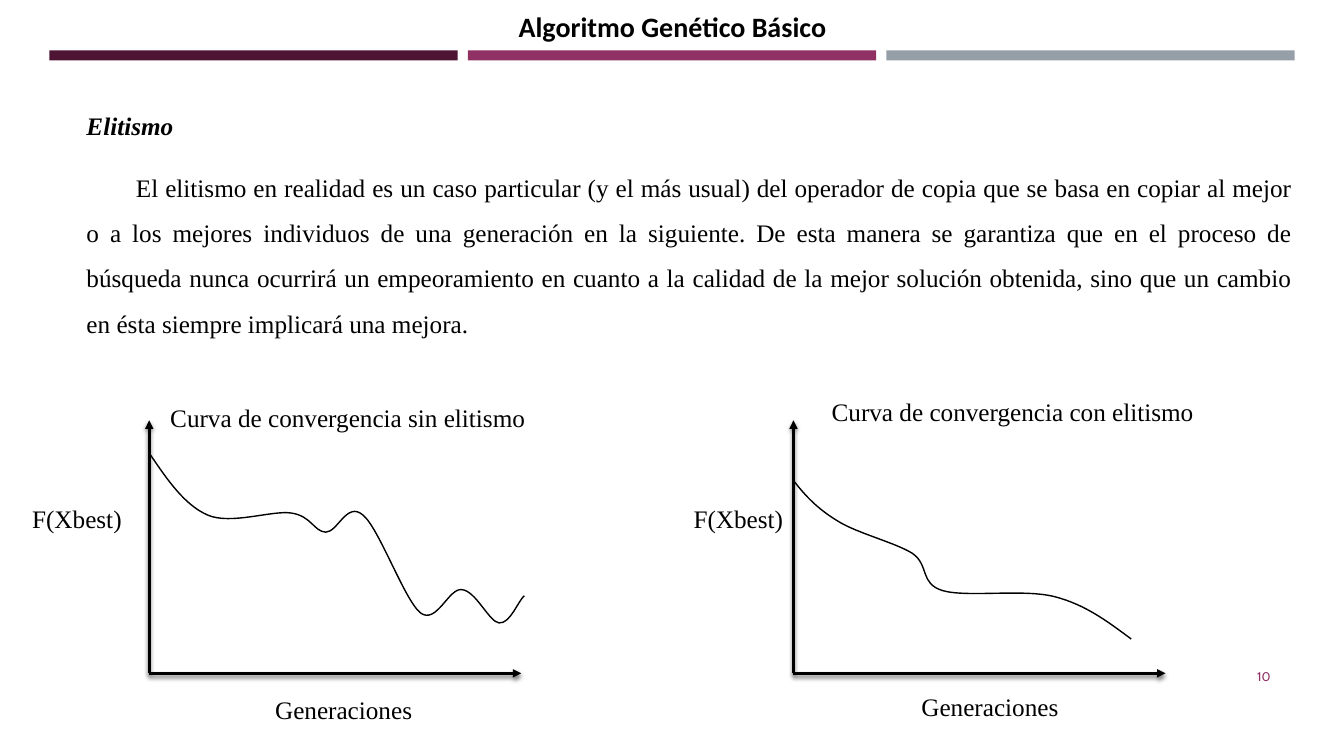
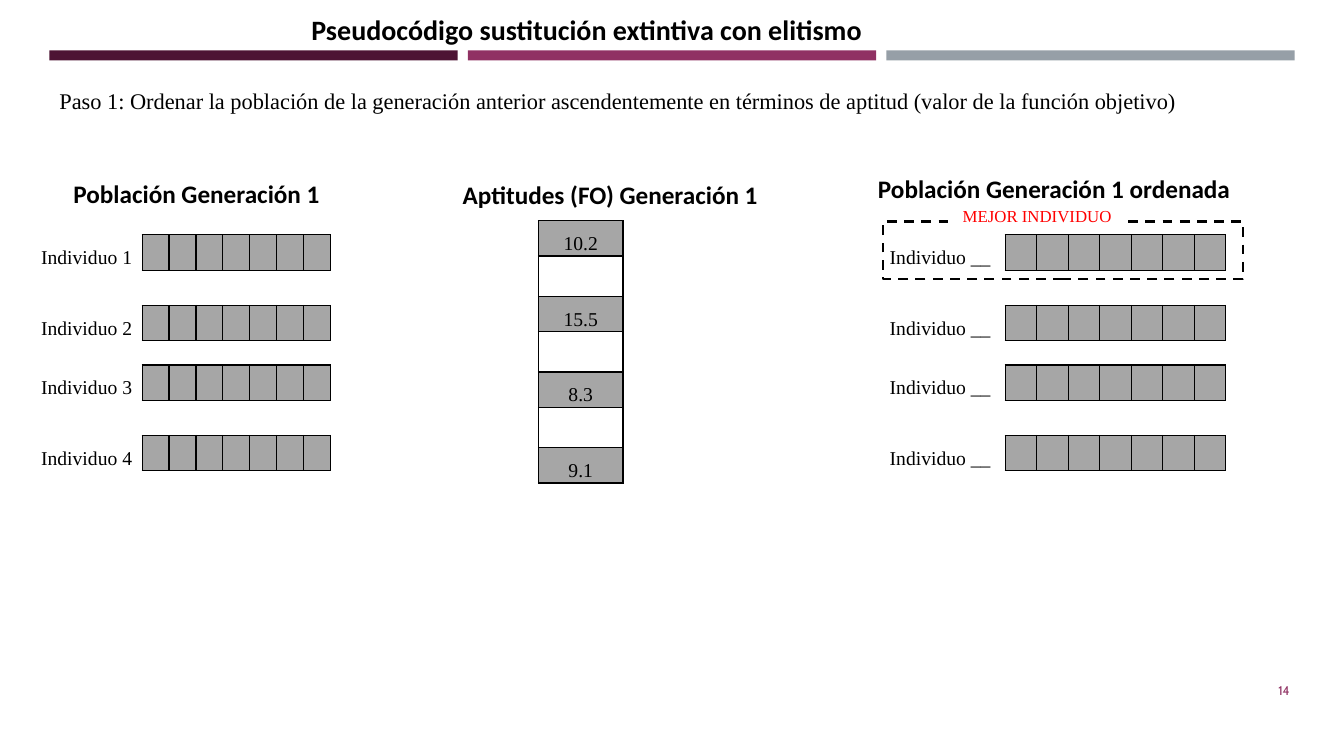
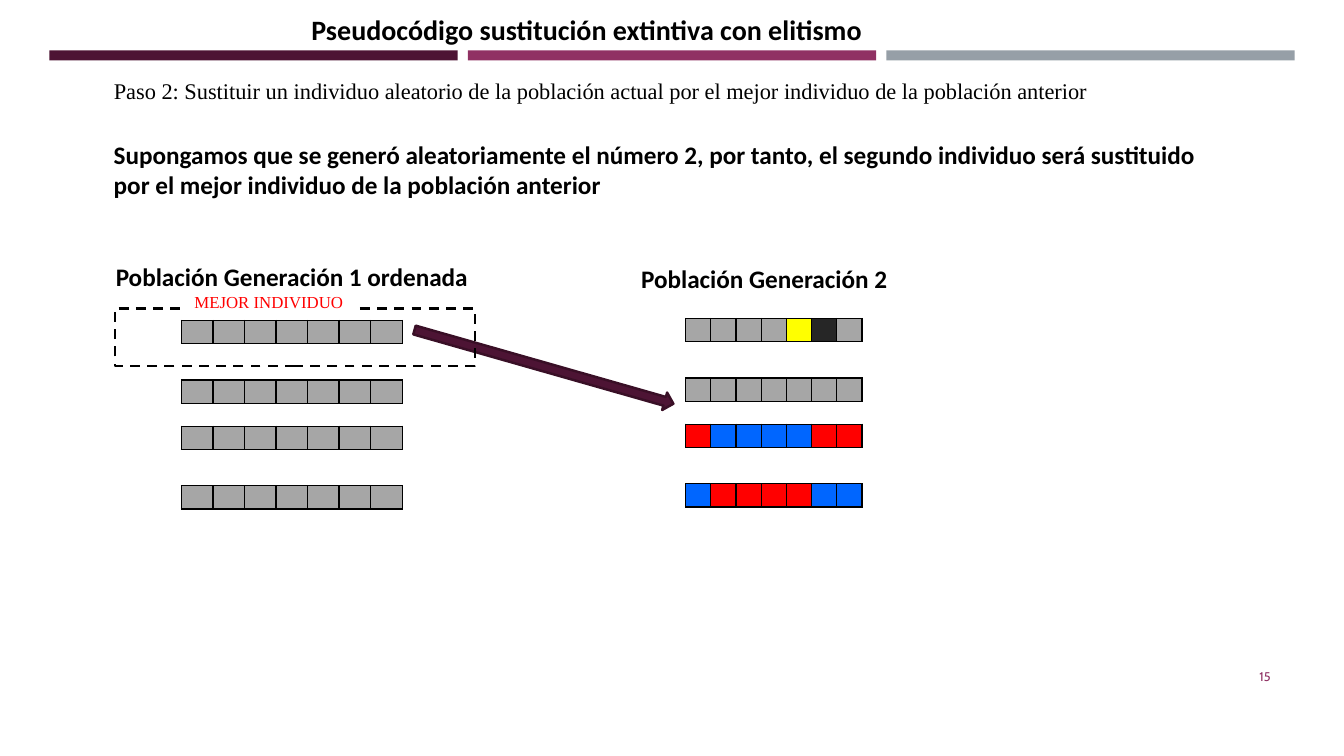
"""Build three slides on elitism in genetic algorithms."""
from dataclasses import dataclass, replace
from itertools import product

from lxml.etree import SubElement
from pptx import Presentation
from pptx.dml.color import RGBColor
from pptx.enum.dml import MSO_LINE
from pptx.enum.shapes import MSO_CONNECTOR, MSO_SHAPE
from pptx.enum.text import MSO_ANCHOR, PP_ALIGN
from pptx.oxml.ns import qn
from pptx.util import Emu, Pt

PX = 9144
BLACK, WHITE, RED, BLUE = "000000", "FFFFFF", "FF0000", "0066FF"
YELLOW, CHARCOAL, GRAY = "FFFF00", "262626", "A6A6A6"
PLUM, MAGENTA, SLATE, PLUM_EDGE = "4D1434", "903163", "969FA7", "390F26"
PLAIN_TABLE = "{2D5ABB26-0587-4C30-8999-92F81FD0307C}"
GENES = 7


@dataclass(frozen=True)
class Style:
    font: str
    size: int
    color: str = BLACK
    bold: bool = False
    italic: bool = False


TITLE = Style("Calibri", 20, bold=True)
HEADING = Style("Calibri", 18, bold=True)
BODY = Style("Times New Roman", 18)
STEP = Style("Times New Roman", 16)
CELL = Style("Times New Roman", 14)
BADGE = Style("Times New Roman", 12, RED)
NUMBER = Style("Cabin", 9, MAGENTA)


@dataclass(frozen=True)
class Para:
    text: str
    style: Style
    align: PP_ALIGN = PP_ALIGN.LEFT
    spacing: float = 1.0
    after: int = 0
    indent: int = 0


@dataclass(frozen=True)
class Label:
    x: int
    y: int
    w: int
    h: int
    paras: tuple[Para, ...]
    wrap: bool = True
    anchor: MSO_ANCHOR = MSO_ANCHOR.TOP
    fill: str = ""


@dataclass(frozen=True)
class Plot:
    x: int
    caption: Label
    fitness_x: int
    generations: tuple[int, int]
    curve: tuple[tuple[int, int], ...]


@dataclass(frozen=True)
class Population:
    x: int
    y: int
    genes_w: int
    row_h: int
    gaps: tuple[int, ...]
    colors: tuple[tuple[str, ...], ...]
    names: tuple[str, ...] = ()
    names_w: int = 0


def px(n: float) -> Emu:
    """Turn px into EMU."""
    return Emu(round(n * PX))


def rgb(color: str) -> RGBColor:
    """Turn a hex string into a colour."""
    return RGBColor.from_string(color)


def write(p, para: Para) -> None:
    """Fill a paragraph with one styled run."""
    p.alignment = para.align
    p.line_spacing = para.spacing
    p.space_after = Pt(para.after)
    if para.indent:
        p._p.get_or_add_pPr().set("indent", str(px(para.indent)))
    r = p.add_run()
    r.text = para.text
    f, style = r.font, para.style
    f.name, f.size, f.bold, f.italic = style.font, Pt(style.size), style.bold, style.italic
    f.color.rgb = rgb(style.color)


def add_label(s, label: Label) -> None:
    """Add a text box."""
    sp = s.shapes.add_textbox(px(label.x), px(label.y), px(label.w), px(label.h))
    if label.fill:
        sp.fill.solid()
        sp.fill.fore_color.rgb = rgb(label.fill)
    tf = sp.text_frame
    tf.word_wrap = label.wrap
    tf.vertical_anchor = label.anchor
    for i, para in enumerate(label.paras):
        write(tf.add_paragraph() if i else tf.paragraphs[0], para)


def add_text(s, x: int, y: int, w: int, h: int, text: str, style: Style, wrap: bool = True) -> None:
    """Add a text box that holds one left-aligned paragraph."""
    add_label(s, Label(x, y, w, h, (Para(text, style),), wrap))


def add_box(s, kind: MSO_SHAPE, x: int, y: int, w: int, h: int, fill: str = "", line: str = ""):
    """Add a preset shape without a shadow."""
    sp = s.shapes.add_shape(kind, px(x), px(y), px(w), px(h))
    sp.shadow.inherit = False
    if fill:
        sp.fill.solid()
        sp.fill.fore_color.rgb = rgb(fill)
    else:
        sp.fill.background()
    if line:
        sp.line.color.rgb = rgb(line)
        sp.line.width = Pt(1.75)
    else:
        sp.line.fill.background()
    return sp


def add_bands(s) -> None:
    """Put the three bands on the layout that all slides share."""
    for i, color in enumerate((PLUM, MAGENTA, SLATE)):
        sp = add_box(s, MSO_SHAPE.RECTANGLE, 49 + 415 * i, 50, 405, 10, color)
        s.slide_layout.shapes._spTree.append(sp._element)


def new_slide(prs, title: Label, number: str, number_x: int = 1155, number_y: int = 651):
    """Add a slide with its title and number."""
    s = prs.slides.add_slide(prs.slide_layouts[6])
    para = Para(number, NUMBER, PP_ALIGN.RIGHT, after=6)
    add_label(s, Label(number_x, number_y, 115, 40, (para,), anchor=MSO_ANCHOR.MIDDLE))
    add_label(s, title)
    return s


def add_axis(s, x1: int, y1: int, x2: int, y2: int) -> None:
    """Add a shadowed axis with an arrowhead."""
    c = s.shapes.add_connector(MSO_CONNECTOR.STRAIGHT, px(x1), px(y1), px(x2), px(y2))
    c.line.color.rgb = rgb(BLACK)
    c.line.width = Pt(2)
    SubElement(c.line._get_or_add_ln(), qn("a:tailEnd"), type="triangle")
    effects = SubElement(c._element.spPr, qn("a:effectLst"))
    shadow = SubElement(effects, qn("a:outerShdw"), blurRad=str(Pt(3)), dist=str(Pt(2)), dir="5400000")
    color = SubElement(shadow, qn("a:srgbClr"), val=BLACK)
    SubElement(color, qn("a:alpha"), val="55000")


def add_curve(s, knots: tuple[tuple[int, int], ...]) -> None:
    """Add an open outline of chained cubic curves."""
    points = [(px(x), px(y)) for x, y in knots]
    fb = s.shapes.build_freeform(*points[0])
    fb.add_line_segments(points[1:], close=False)
    sp = fb.convert_to_shape()
    outline = next(sp._element.iter(qn("a:path")))
    lines = outline.findall(qn("a:lnTo"))
    for i in range(0, len(lines), 3):
        cubic = SubElement(outline, qn("a:cubicBezTo"))
        for line in lines[i:i + 3]:
            cubic.append(line[0])
            outline.remove(line)
    sp.shadow.inherit = False
    sp.fill.background()
    sp.line.color.rgb = rgb(BLACK)
    sp.line.width = Pt(1)


def add_plot(s, plot: Plot) -> None:
    """Add a convergence sketch with its axes and labels."""
    add_axis(s, plot.x, 668, plot.x, 417)
    add_axis(s, plot.x, 668, plot.x + 369, 668)
    add_curve(s, plot.curve)
    add_text(s, plot.fitness_x, 494, 109, 40, "F(Xbest)", BODY, False)
    add_text(s, *plot.generations, 161, 40, "Generaciones", BODY, False)
    add_label(s, plot.caption)


def set_borders(cell, sides: str) -> None:
    """Draw thin black lines on the given sides of a cell."""
    tcPr = cell._tc.get_or_add_tcPr()
    for side in sides:
        ln = SubElement(tcPr, qn(f"a:ln{side}"), w=str(Pt(1)))
        SubElement(SubElement(ln, qn("a:solidFill")), qn("a:srgbClr"), val=BLACK)


def set_cell(cell, text: str = "", fill: str = "", sides: str = "") -> None:
    """Set the text, fill and borders of a cell."""
    cell.margin_left = cell.margin_right = px(7)
    cell.margin_top = cell.margin_bottom = 0
    cell.vertical_anchor = MSO_ANCHOR.MIDDLE
    set_borders(cell, sides)
    if fill:
        cell.fill.solid()
        cell.fill.fore_color.rgb = rgb(fill)
    else:
        cell.fill.background()
    p = cell.text_frame.paragraphs[0]
    if text:
        write(p, Para(text, CELL, PP_ALIGN.CENTER, 1.5))
    else:
        p._p.get_or_add_endParaRPr().set("sz", "600")


def new_table(s, x: int, y: int, widths: list[float], heights: list[int]):
    """Add a plain table with the given column and row sizes."""
    frame = s.shapes.add_table(len(heights), len(widths), px(x), px(y), px(sum(widths)), px(sum(heights)))
    table = frame.table
    table.first_row = table.horz_banding = False
    table._tbl.tblPr.find(qn("a:tableStyleId")).text = PLAIN_TABLE
    for column, w in zip(table.columns, widths):
        column.width = px(w)
    for row, h in zip(table.rows, heights):
        row.height = px(h)
    return table


def add_population(s, pop: Population) -> None:
    """Add a table of chromosomes separated by gap rows."""
    first = 1 if pop.names else 0
    heights = [pop.gaps[i // 2] if i % 2 else pop.row_h for i in range(2 * len(pop.colors) - 1)]
    widths = [pop.names_w] * first + [pop.genes_w / GENES] * GENES
    table = new_table(s, pop.x, pop.y, widths, heights)
    for i, j in product(range(len(heights)), range(len(widths))):
        cell = table.cell(i, j)
        if j < first:
            set_cell(cell, "" if i % 2 else pop.names[i // 2])
        elif i % 2:
            set_cell(cell, sides="TB")
        else:
            set_cell(cell, fill=pop.colors[i // 2][j - first], sides="LRTB")
    for i in range(1, len(heights), 2):
        table.cell(i, first).merge(table.cell(i, len(widths) - 1))


def add_fitness(s, x: int, y: int, values: tuple[str, ...]) -> None:
    """Add the column of fitness values."""
    rows = 2 * len(values) - 1
    table = new_table(s, x, y, [84], [40 if i % 2 else 35 for i in range(rows)])
    for i in range(rows):
        text, fill = ("", "") if i % 2 else (values[i // 2], GRAY)
        set_cell(table.cell(i, 0), text, fill, "LRTB")


def add_best_mark(s, x: int, y: int) -> None:
    """Frame the best individual and name it."""
    sp = add_box(s, MSO_SHAPE.RECTANGLE, x, y, 357, 57, line=BLACK)
    sp.line.dash_style = MSO_LINE.DASH
    badge = Para("MEJOR INDIVIDUO", BADGE)
    add_label(s, Label(x + 69, y - 21, 169, 30, (badge,), wrap=False, fill=WHITE))


def build_elitism(prs) -> None:
    """Build the slide that explains elitism."""
    title = Para("Algoritmo Genético Básico", TITLE, PP_ALIGN.CENTER, 1.07, 8)
    s = new_slide(prs, Label(159, 2, 1016, 44, (title,)), "10")
    add_bands(s)
    add_label(s, Label(76, 89, 1216, 249, (
        Para("Elitismo", replace(BODY, bold=True, italic=True), spacing=1.5, after=12),
        Para("El elitismo en realidad es un caso particular (y el más usual) del operador de copia que se "
             "basa en copiar al mejor o a los mejores individuos de una generación en la siguiente. De esta "
             "manera se garantiza que en el proceso de búsqueda nunca ocurrirá un empeoramiento en cuanto a "
             "la calidad de la mejor solución obtenida, sino que un cambio en ésta siempre implicará una "
             "mejora.", BODY, PP_ALIGN.JUSTIFY, 1.5, 12, 49),
    )))
    without = Para("Curva de convergencia sin elitismo", BODY)
    with_elitism = Para("Curva de convergencia con elitismo", BODY)
    add_plot(s, Plot(148, Label(159, 394, 380, 40, (without,), False), 22, (263, 684), (
        (149, 451), (166, 476), (183, 501), (206, 511), (229, 521), (270, 506), (289, 509),
        (309, 512), (311, 527), (323, 528), (335, 528), (344, 497), (360, 511),
        (376, 524), (401, 595), (417, 608), (433, 620), (445, 583), (458, 585),
        (472, 586), (485, 617), (495, 618), (506, 619), (514, 596), (520, 591))))
    add_plot(s, Plot(787, Label(815, 388, 383, 40, (with_elitism,), False), 678, (904, 681), (
        (788, 478), (799, 492), (811, 505), (831, 517), (850, 529), (887, 538), (905, 549),
        (922, 561), (912, 579), (935, 586), (959, 593), (1015, 584), (1046, 592),
        (1077, 600), (1099, 617), (1122, 634))))


def build_steps(prs) -> None:
    """Build the two slides of the substitution steps."""
    title = Para("Pseudocódigo sustitución extintiva con elitismo", TITLE, spacing=1.07, after=8)
    heading = Label(299, 5, 704, 44, (title,))
    gray = (GRAY,) * GENES
    gaps = (36, 23, 36)
    unsorted = Population(31, 233, 187, 35, (35, 24, 35), (gray,) * 4,
                          tuple(f"Individuo {i}" for i in range(1, 5)), 110)
    ordered = replace(unsorted, x=868, genes_w=219, names=("Individuo __",) * 4, names_w=129)

    s = new_slide(prs, heading, "14", 1174, 665)
    add_text(s, 49, 82, 1142, 37, "Paso 1: Ordenar la población de la generación anterior ascendentemente "
             "en términos de aptitud (valor de la función objetivo)", STEP)
    add_population(s, unsorted)
    add_fitness(s, 534, 219, ("10.2", "15.5", "8.3", "9.1"))
    add_text(s, 63, 172, 298, 40, "Población Generación 1", HEADING)
    add_text(s, 449, 173, 667, 40, "Aptitudes (FO) Generación 1", HEADING)
    add_population(s, ordered)
    add_text(s, 861, 167, 447, 40, "Población Generación 1 ordenada", HEADING)
    add_best_mark(s, 876, 220)

    s = new_slide(prs, heading, "15")
    add_text(s, 103, 72, 1089, 37, "Paso 2: Sustituir un individuo aleatorio de la población actual por el "
             "mejor individuo de la población anterior", STEP)
    add_text(s, 103, 133, 1113, 71, "Supongamos que se generó aleatoriamente el número 2, por tanto, el "
             "segundo individuo será sustituido por el mejor individuo de la población anterior", HEADING)
    colors = (
        (GRAY,) * 4 + (YELLOW, CHARCOAL, GRAY),
        gray,
        (RED,) + (BLUE,) * 4 + (RED,) * 2,
        (BLUE,) + (RED,) * 4 + (BLUE,) * 2,
    )
    add_population(s, Population(680, 316, 175, 23, gaps, colors))
    add_text(s, 626, 256, 309, 40, "Población Generación 2", HEADING)
    arrow = add_box(s, MSO_SHAPE.RIGHT_ARROW, 406, 355, 267, 18, PLUM, PLUM_EDGE)
    arrow.rotation = 15.9
    add_population(s, replace(ordered, x=180, y=318, row_h=23, gaps=gaps, names=(), names_w=0))
    add_text(s, 105, 254, 447, 40, "Población Generación 1 ordenada", HEADING)
    add_best_mark(s, 114, 306)


def main() -> None:
    """Build and save the presentation."""
    prs = Presentation()
    prs.slide_width, prs.slide_height = px(1333), px(750)
    build_elitism(prs)
    build_steps(prs)
    prs.save("out.pptx")


if __name__ == "__main__":
    main()
